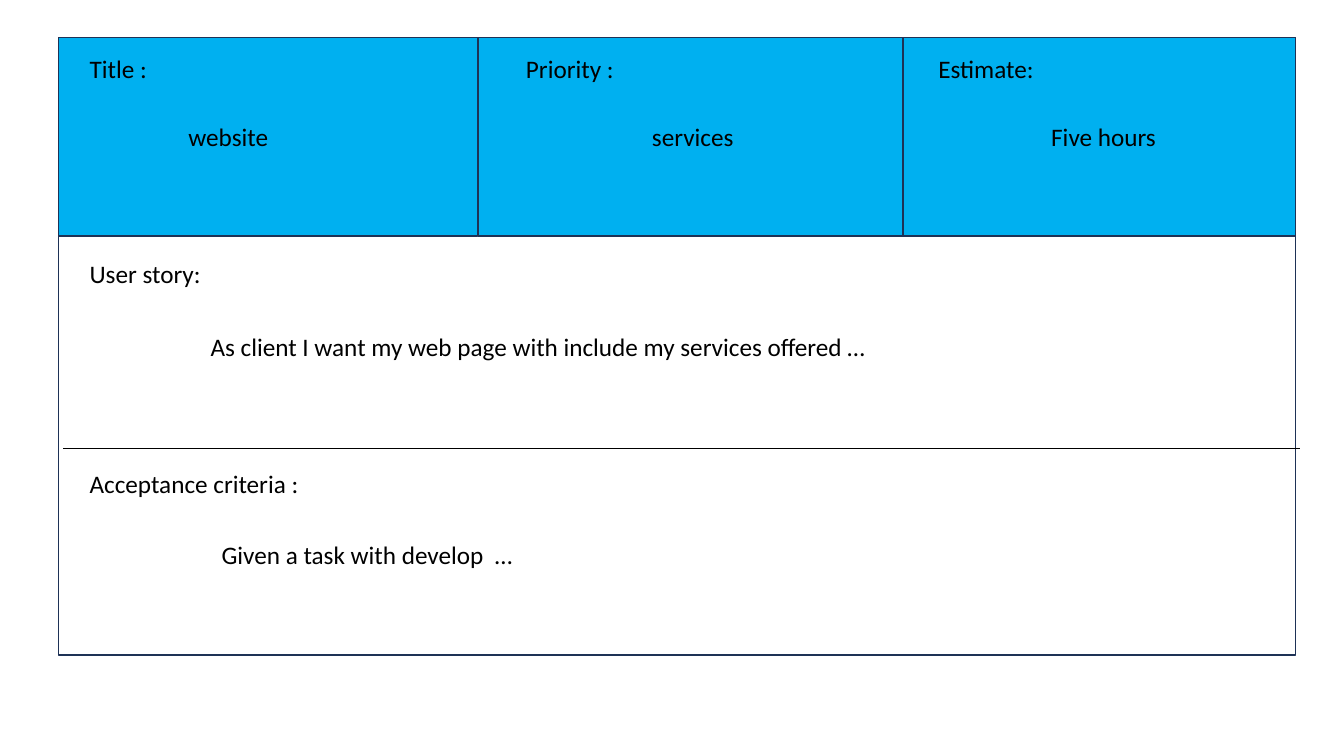
"""Build a user story card: three header cells above two text sections."""
from dataclasses import dataclass

from lxml import etree
from pptx import Presentation
from pptx.dml.color import RGBColor
from pptx.enum.shapes import MSO_CONNECTOR, MSO_SHAPE
from pptx.enum.text import MSO_AUTO_SIZE
from pptx.oxml.ns import qn
from pptx.util import Inches, Pt

RECTANGLE = MSO_SHAPE.RECTANGLE
STRAIGHT = MSO_CONNECTOR.STRAIGHT
GROW = MSO_AUTO_SIZE.SHAPE_TO_FIT_TEXT
CELL = Inches(0.1)  # one column or row of the page grid
PAGE_COLUMNS, PAGE_ROWS = 133.33, 75
TEXT_ROWS = 4
BLANK = 6


@dataclass(frozen=True)
class Theme:
    """Colours, type and line sizes of the card."""
    paper: RGBColor = RGBColor.from_string("FFFFFF")
    header: RGBColor = RGBColor.from_string("00B0F0")
    border: RGBColor = RGBColor.from_string("1E3256")
    ink: RGBColor = RGBColor.from_string("000000")
    font: str = "Calibri"
    text_size: Pt = Pt(18)
    border_width: Pt = Pt(1)
    rule_width: Pt = Pt(0.5)


@dataclass(frozen=True)
class Box:
    """An area of the page, in grid columns and rows."""
    left: float
    top: float
    width: float
    height: float

    def inner(self, left, top, width, height):
        """Return a box placed relative to this one."""
        return Box(self.left + left, self.top + top, width, height)

    def lengths(self):
        """Return left, top, width and height as slide lengths."""
        grid = (self.left, self.top, self.width, self.height)
        return [round(value * CELL) for value in grid]


@dataclass(frozen=True)
class Entry:
    """A label and its value, with their (left, width) in columns."""
    label: str
    label_span: tuple
    value: str
    value_span: tuple


THEME = Theme()
CARD = Box(5.8, 3.7, 122.7, 61.3)
HEADER_ROWS = 19.7
STORY_ROWS = 21.1
RULE_SHIFT = 0.5
HEADER_CELLS = [
    (41.6, Entry("Title :", (2.1, 9.1), "website", (11.9, 25.1))),
    (42.2, Entry("Priority :", (3.8, 11.7), "services", (16.3, 23.3))),
    (38.9, Entry("Estimate:", (2.5, 12), "Five hours", (13.7, 17.9))),
]
STORY = Entry(
    "User story:", (2.1, 18),
    "As client I want my web page with include my services offered …",
    (14.1, 84.2))
CRITERIA = Entry("Acceptance criteria :", (2.1, 24.1),
                 "Given a task with develop  …", (15.2, 64.6))


def set_all(target, values):
    """Set every attribute named in values on the target."""
    for name, value in values.items():
        setattr(target, name, value)


def add_panel(page, box, fill):
    """Draw a bordered rectangle that fills the box."""
    panel = page.shapes.add_shape(RECTANGLE, *box.lengths())
    panel.shadow.inherit = False
    panel.fill.solid()
    panel.fill.fore_color.rgb = fill
    panel.line.color.rgb = THEME.border
    panel.line.width = THEME.border_width


def add_text(page, box, text):
    """Write one line of text in the box."""
    frame = page.shapes.add_textbox(*box.lengths()).text_frame
    set_all(frame, {"word_wrap": True, "auto_size": GROW})
    span = frame.paragraphs[0].add_run()
    span.text = text
    set_all(span.font, {"name": THEME.font, "size": THEME.text_size})
    span.font.color.rgb = THEME.ink


def add_entry(page, box, entry, label_top, value_top):
    """Write a label and the value below it inside the box."""
    for text, (left, width), top in (
            (entry.label, entry.label_span, label_top),
            (entry.value, entry.value_span, value_top)):
        add_text(page, box.inner(left, top, width, TEXT_ROWS), text)


def add_header(page, box):
    """Place the coloured cells side by side along the box."""
    left = 0
    for width, entry in HEADER_CELLS:
        cell = box.inner(left, 0, width, box.height)
        add_panel(page, cell, THEME.header)
        add_entry(page, cell, entry, label_top=1.1, value_top=7.8)
        left += width


def add_rule(page, box):
    """Draw a thin line along the top of the box."""
    left, top, width, _ = box.lengths()
    rule = page.shapes.add_connector(STRAIGHT, left, top, left + width, top)
    rule.line.color.rgb = THEME.ink
    rule.line.width = THEME.rule_width
    etree.SubElement(rule._element.spPr, qn("a:effectLst"))


def add_card(page, box):
    """Place the frame, the header and both sections of the card."""
    add_panel(page, box, THEME.paper)
    add_header(page, box.inner(0, 0, box.width, HEADER_ROWS))
    story = box.inner(0, HEADER_ROWS, box.width, STORY_ROWS)
    criteria = story.inner(0, STORY_ROWS, box.width,
                           box.height - HEADER_ROWS - STORY_ROWS)
    add_rule(page, criteria.inner(RULE_SHIFT, 0, box.width, 0))
    add_entry(page, story, STORY, label_top=1.7, value_top=9)
    add_entry(page, criteria, CRITERIA, label_top=1.5, value_top=8.5)


def main():
    """Create the deck with its single page and save it."""
    deck = Presentation()
    set_all(deck, {"slide_width": round(PAGE_COLUMNS * CELL),
                   "slide_height": PAGE_ROWS * CELL})
    page = deck.slides.add_slide(deck.slide_layouts[BLANK])
    add_card(page, CARD)
    deck.save("out.pptx")


main()
